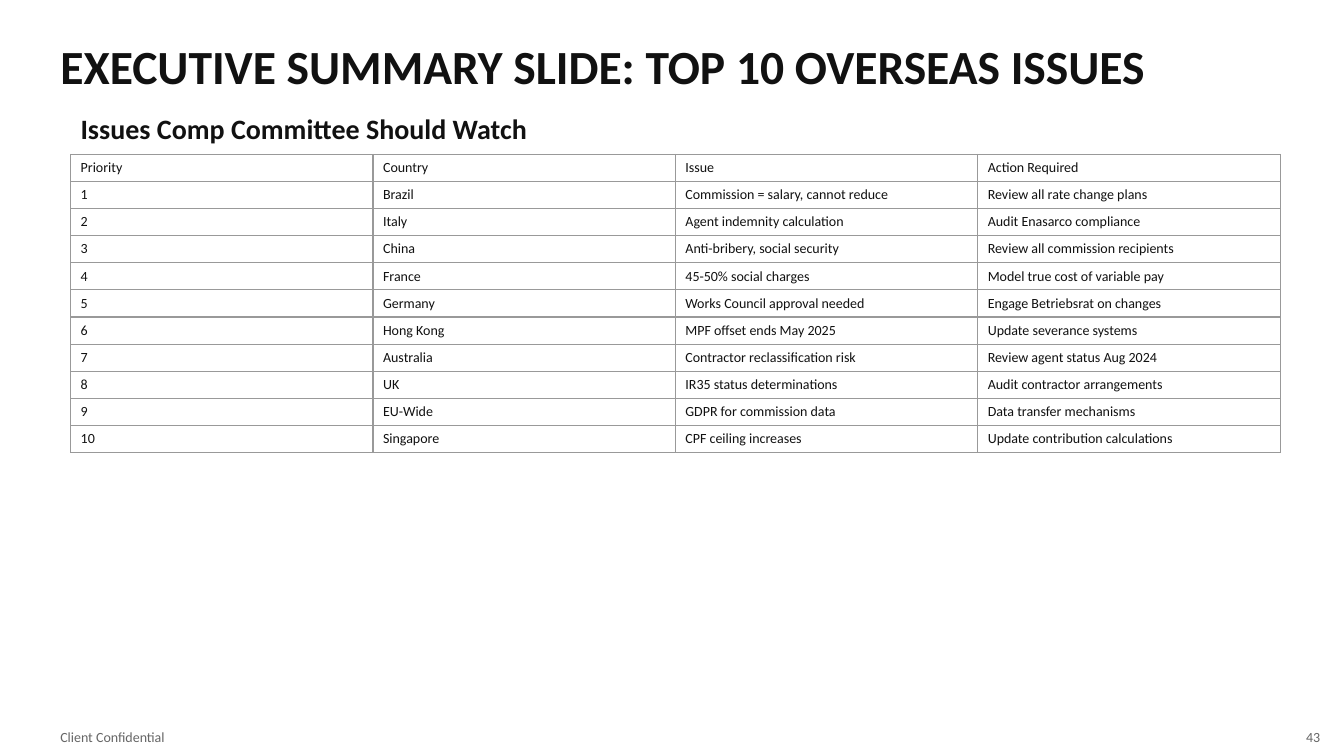
import dataclasses

import pptx
import pptx.dml.color
import pptx.enum.text
import pptx.oxml
import pptx.oxml.ns
import pptx.util

Cm = pptx.util.Cm
Pt = pptx.util.Pt
Align = pptx.enum.text.PP_ALIGN

TITLE = "EXECUTIVE SUMMARY SLIDE: TOP 10 OVERSEAS ISSUES"
SUBTITLE = "Issues Comp Committee Should Watch"
FOOTER = "Client Confidential"
PAGE_NUMBER = "43"
HEADINGS = ("Priority", "Country", "Issue", "Action Required")
# Listed in order of priority
ISSUES = [
    ("Brazil", "Commission = salary, cannot reduce", "Review all rate change plans"),
    ("Italy", "Agent indemnity calculation", "Audit Enasarco compliance"),
    ("China", "Anti-bribery, social security", "Review all commission recipients"),
    ("France", "45-50% social charges", "Model true cost of variable pay"),
    ("Germany", "Works Council approval needed", "Engage Betriebsrat on changes"),
    ("Hong Kong", "MPF offset ends May 2025", "Update severance systems"),
    ("Australia", "Contractor reclassification risk", "Review agent status Aug 2024"),
    ("UK", "IR35 status determinations", "Audit contractor arrangements"),
    ("EU-Wide", "GDPR for commission data", "Data transfer mechanisms"),
    ("Singapore", "CPF ceiling increases", "Update contribution calculations"),
]


@dataclasses.dataclass(frozen=True)
class Theme:
    font: str = "Calibri"
    ink: str = "111111"
    muted: str = "666666"
    rule: str = "999999"
    paper: str = "FFFFFF"
    title_size: int = 34
    subtitle_size: int = 20
    small_size: int = 10
    rule_width: int = 1


THEME = Theme()

# Left, top, width and height in centimetres
TITLE_BOX = (1.27, 0.76, 31.75, 1.78)
SUBTITLE_BOX = (1.78, 2.79, 30.48, 0.89)
FOOTER_BOX = (1.27, 18.24, 15.24, 0.64)
PAGE_NUMBER_BOX = (32, 18.24, 1.52, 0.64)
TABLE_LEFT, TABLE_TOP, TABLE_WIDTH, ROW_HEIGHT = 1.78, 3.89, 30.48, 0.52


def rgb(colour):
    return pptx.dml.color.RGBColor.from_string(colour)


def write(frame, text, size, colour=THEME.ink, bold=False, align=Align.LEFT):
    paragraph = frame.paragraphs[0]
    paragraph.alignment = align
    run = paragraph.add_run()
    run.text = text
    run.font.name = THEME.font
    run.font.size = Pt(size)
    run.font.bold = bold
    run.font.color.rgb = rgb(colour)


def set_up_frame(frame):
    frame.word_wrap = True
    frame.auto_size = pptx.enum.text.MSO_AUTO_SIZE.NONE
    frame.vertical_anchor = pptx.enum.text.MSO_ANCHOR.MIDDLE


def add_title(slide):
    title = slide.shapes.title
    title.left, title.top, title.width, title.height = map(Cm, TITLE_BOX)
    set_up_frame(title.text_frame)
    write(title.text_frame, TITLE, THEME.title_size, bold=True)


def add_label(slide, box, *args, **style):
    label = slide.shapes.add_textbox(*map(Cm, box))
    set_up_frame(label.text_frame)
    write(label.text_frame, *args, **style)


def add_borders(cell):
    properties = cell._tc.get_or_add_tcPr()
    for side in ("lnL", "lnR", "lnT", "lnB"):
        properties.append(pptx.oxml.parse_xml(
            f'<a:{side} {pptx.oxml.ns.nsdecls("a")} w="{Pt(THEME.rule_width)}">'
            f'<a:solidFill><a:srgbClr val="{THEME.rule}"/></a:solidFill></a:{side}>'
        ))


def add_issue_table(slide):
    rows = [HEADINGS]
    rows += [(str(priority), *issue) for priority, issue in enumerate(ISSUES, 1)]
    table = slide.shapes.add_table(
        len(rows), len(HEADINGS), Cm(TABLE_LEFT), Cm(TABLE_TOP),
        Cm(TABLE_WIDTH), Cm(ROW_HEIGHT * len(rows)),
    ).table
    table.first_row = False
    table.horz_banding = False
    for row_index, row in enumerate(rows):
        for column_index, text in enumerate(row):
            cell = table.cell(row_index, column_index)
            add_borders(cell)
            cell.fill.solid()
            cell.fill.fore_color.rgb = rgb(THEME.paper)
            write(cell.text_frame, text, THEME.small_size)


def main():
    deck = pptx.Presentation()
    deck.slide_width, deck.slide_height = Cm(33.87), Cm(19.05)
    slide = deck.slides.add_slide(deck.slide_layouts.get_by_name("Title Only"))
    slide.background.fill.solid()
    slide.background.fill.fore_color.rgb = rgb(THEME.paper)
    add_title(slide)
    add_label(slide, FOOTER_BOX, FOOTER, THEME.small_size, THEME.muted)
    add_label(slide, PAGE_NUMBER_BOX, PAGE_NUMBER, THEME.small_size, THEME.muted,
              align=Align.RIGHT)
    add_label(slide, SUBTITLE_BOX, SUBTITLE, THEME.subtitle_size, bold=True)
    add_issue_table(slide)
    deck.save("out.pptx")


if __name__ == "__main__":
    main()
